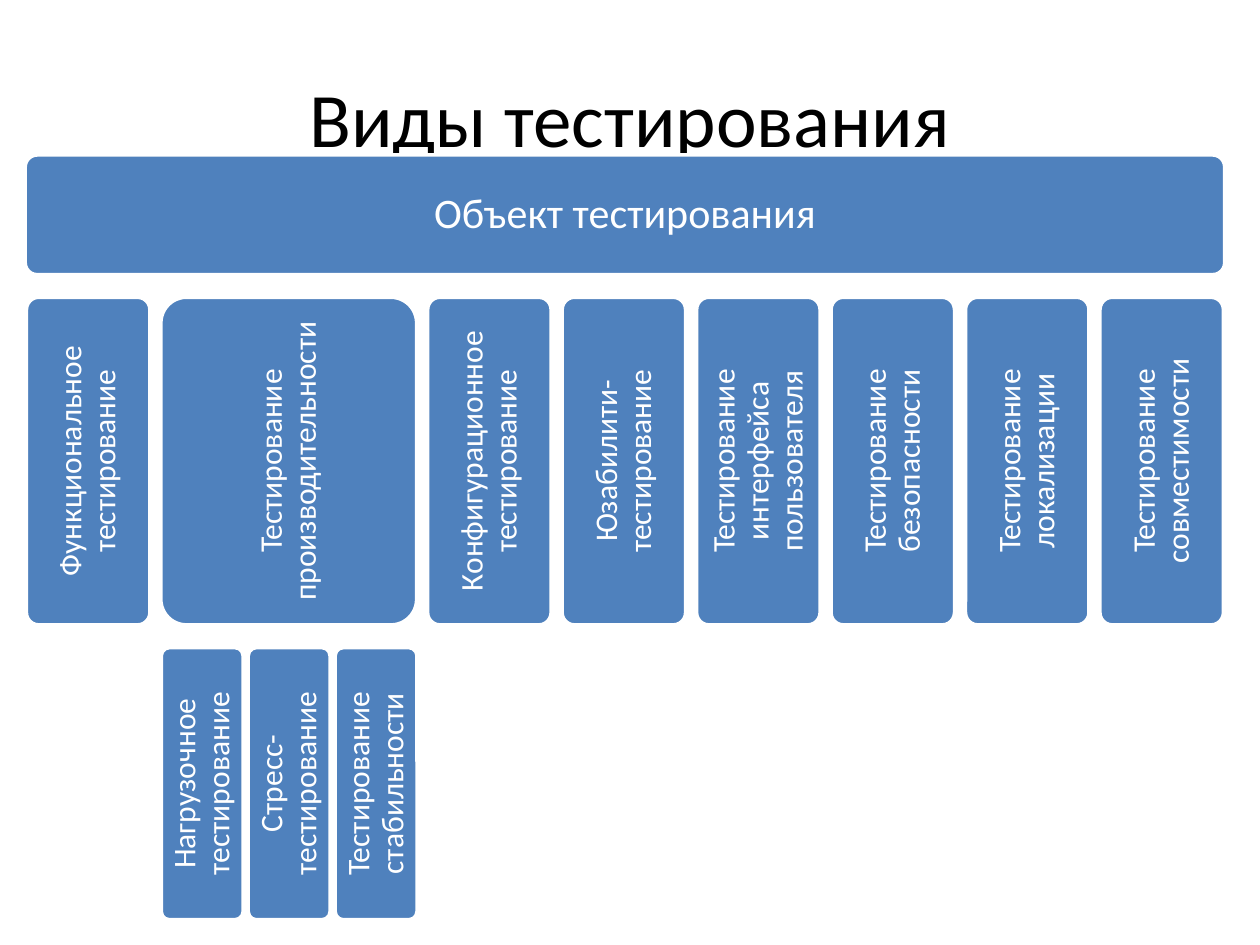
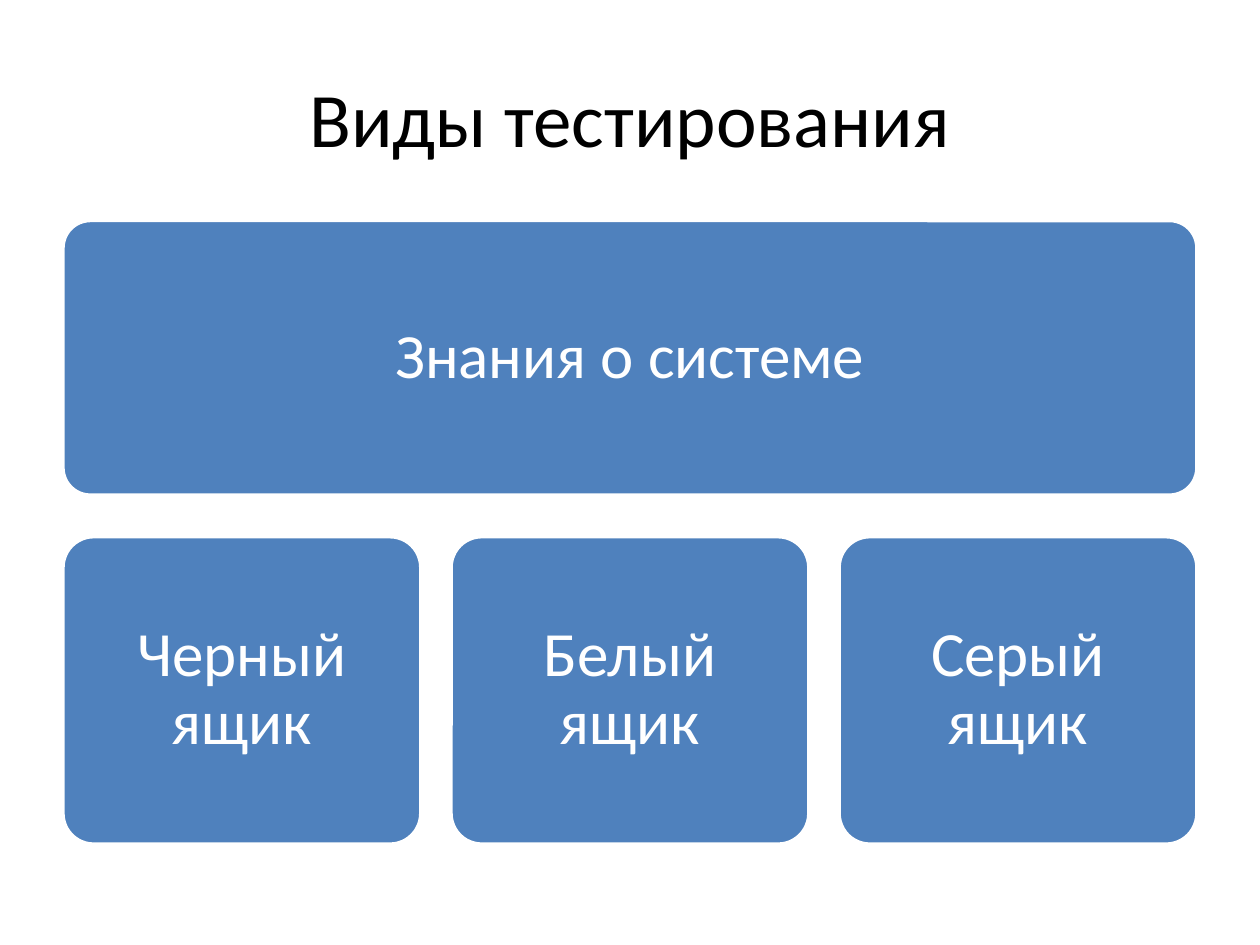
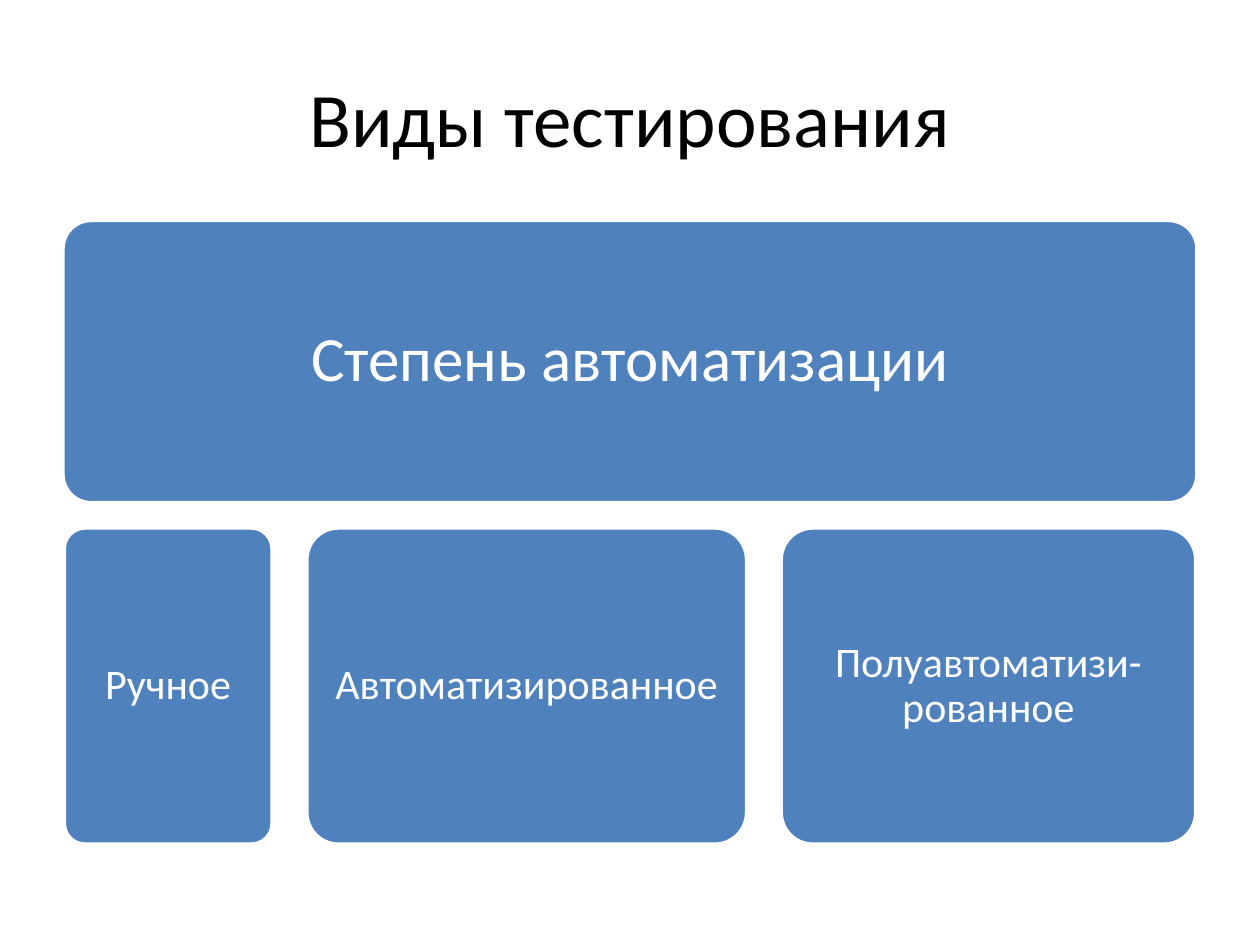
import pptx
import pptx.util
import pptx.dml.color
import pptx.enum.shapes
import pptx.enum.text

# Grid: 100 columns by 75 rows of square cells
COLS, ROWS = 100, 75
CELL = pptx.util.Inches(0.1)

FONT = "Calibri"
BLUE, WHITE, BLACK = "4F81BD", "FFFFFF", "000000"
TITLE = "Виды тестирования"


def rgb(color):
    return pptx.dml.color.RGBColor.from_string(color)


def write(tf, text, size=18, color=WHITE, spacing=None):
    """Put one centred, formatted paragraph into a text frame."""
    tf.word_wrap = True
    tf.vertical_anchor = pptx.enum.text.MSO_ANCHOR.MIDDLE
    p = tf.paragraphs[0]
    p.alignment = pptx.enum.text.PP_ALIGN.CENTER
    p.line_spacing = spacing
    r = p.add_run()
    r.text = text
    r.font.name = FONT
    r.font.size = pptx.util.Pt(size)
    r.font.color.rgb = rgb(color)


class Deck:
    def __init__(self):
        self.prs = pptx.Presentation()
        self.prs.slide_width = COLS * CELL
        self.prs.slide_height = ROWS * CELL
        self.s = None

    def cells(self, *lengths):
        return [round(n * CELL) for n in lengths]

    def slide(self, title):
        self.s = self.prs.slides.add_slide(self.prs.slide_layouts[5])
        sp = self.s.shapes.title
        sp.left, sp.top, sp.width, sp.height = self.cells(5, 3, 90, 12.5)
        write(sp.text_frame, title, size=44, color=BLACK)

    def block(self, text, left, top, width, height, size=18, upright=False):
        """Rounded block with its label; upright turns the label to read upwards."""
        sp = self.s.shapes.add_shape(
            pptx.enum.shapes.MSO_SHAPE.ROUNDED_RECTANGLE,
            *self.cells(left, top, width, height))
        sp.adjustments[0] = 0.1
        sp.shadow.inherit = False
        sp.fill.solid()
        sp.fill.fore_color.rgb = rgb(BLUE)
        sp.line.color.rgb = rgb(WHITE)
        sp.line.width = pptx.util.Pt(2)
        tf = sp.text_frame
        inset = pptx.util.Pt(size * 0.3)
        tf.margin_left = tf.margin_right = inset
        tf.margin_top = tf.margin_bottom = inset
        if upright:
            tf._txBody.bodyPr.set("vert", "vert270")
        write(tf, text, size=size, spacing=0.9)

    def row(self, items, left, right, top, height, **style):
        """Blocks of (label, width) from left to right with equal gaps."""
        gap = (right - left - sum(w for _, w in items)) / (len(items) - 1)
        for text, width in items:
            self.block(text, left, top, width, height, **style)
            left += width + gap


deck = Deck()

# Slide 1: by object of testing
deck.slide(TITLE)
deck.block("Объект тестирования", 2, 12.3, 95.2, 9.5, size=24)
NARROW, WIDE, SUB = 9.8, 20.3, 6.5
kinds = [
    ("Функциональное тестирование", NARROW),
    ("Тестирование производительности", WIDE),
    ("Конфигурационное тестирование", NARROW),
    ("Юзабилити-тестирование", NARROW),
    ("Тестирование интерфейса пользователя", NARROW),
    ("Тестирование безопасности", NARROW),
    ("Тестирование локализации", NARROW),
    ("Тестирование совместимости", NARROW),
]
deck.row(kinds, 2.1, 97.1, 23.6, 26, upright=True)
performance = ["Нагрузочное тестирование", "Стресс-тестирование",
               "Тестирование стабильности"]
deck.row([(text, SUB) for text in performance],
         12.8, 12.8 + WIDE, 51.4, 21.6, upright=True)

# Slide 2: by knowledge of the system
deck.slide(TITLE)
deck.block("Знания о системе", 5, 17.5, 90, 21.8, size=36)
boxes = ["Черный ящик", "Белый ящик", "Серый ящик"]
deck.row([(text, 28.4) for text in boxes], 5, 95, 42.6, 24.4, size=36)

# Slide 3: by degree of automation
deck.slide(TITLE)
deck.block("Степень автоматизации", 5, 17.5, 90, 22.4, size=36)
degrees = [("Ручное", 16.5), ("Автоматизированное", 34.9),
           ("Полуавтоматизи-рованное", 32.9)]
deck.row(degrees, 5.1, 94.9, 41.9, 25.1, size=24)

deck.prs.save("out.pptx")
